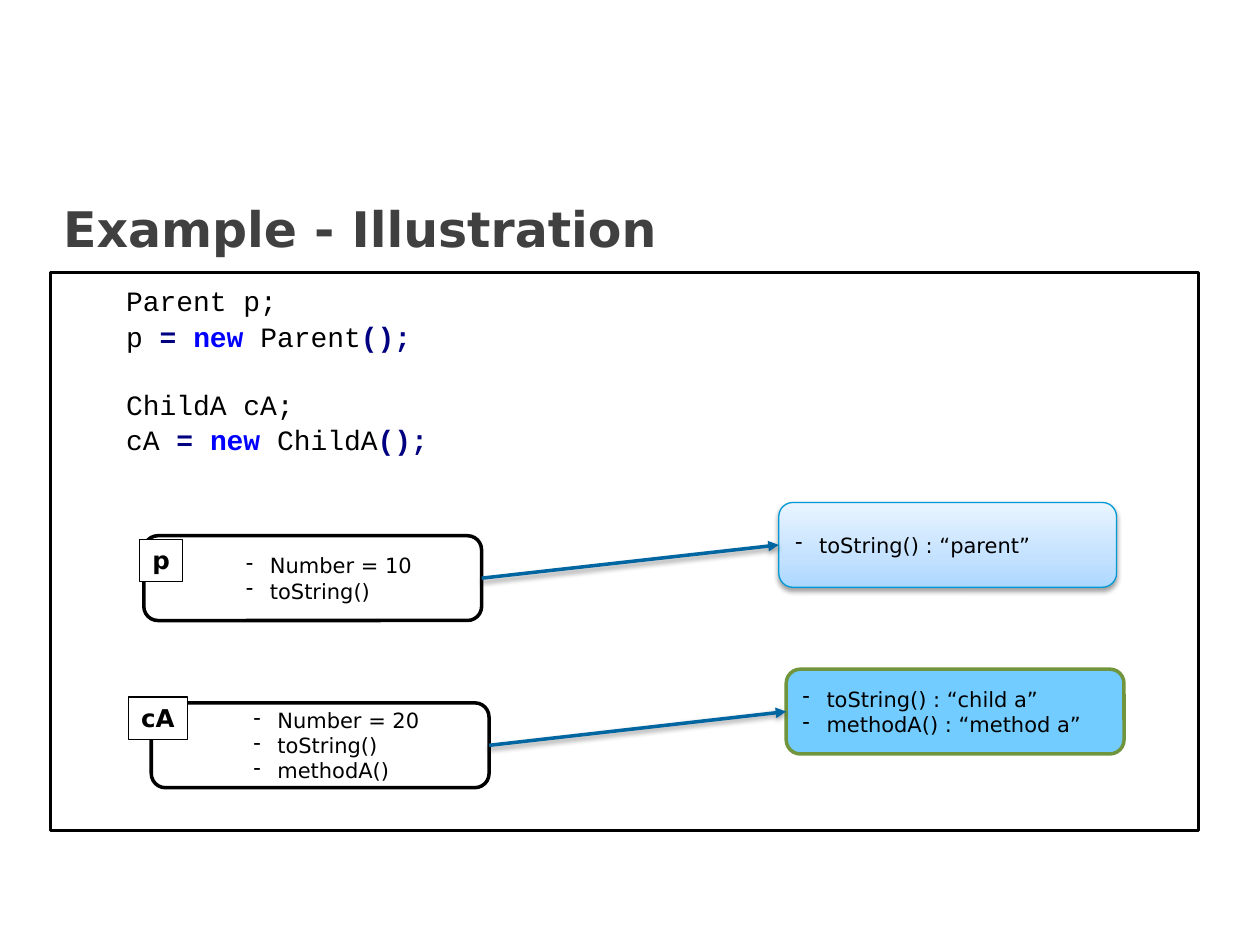
from copy import deepcopy
from lxml.etree import SubElement
from pptx import Presentation
from pptx.dml.color import RGBColor
from pptx.enum.shapes import MSO_CONNECTOR, MSO_SHAPE
from pptx.enum.text import MSO_ANCHOR, MSO_AUTO_SIZE, PP_ALIGN
from pptx.oxml.ns import qn
from pptx.util import Cm, Pt

# Content
TITLE = "Example - Illustration"
CODE = [  # lines of (text, style); the gap before a line is in points
    (0, [("Parent p;", "plain")]),
    (1, [("p ", "plain"), ("= ", "sign"), ("new", "keyword"),
         (" Parent", "plain"), ("();", "sign")]),
    (20, [("ChildA cA;", "plain")]),
    (1, [("cA ", "plain"), ("= ", "sign"), ("new ", "keyword"),
         ("ChildA", "plain"), ("();", "sign")]),
]
ROWS = [  # positions in cm: object box, its name tag (left, top, width), class box
    dict(name="p", tag=(2.82, 10.87, 0.86), object_at=(2.9, 10.8),
         fields=["Number = 10", "toString()"],
         class_at=(15.7, 10.13), methods=["toString() : “parent”"], glossy=True),
    dict(name="cA", tag=(2.59, 14.05, 1.19), object_at=(3.05, 14.17),
         fields=["Number = 20", "toString()", "methodA()"],
         class_at=(15.85, 13.49),
         methods=["toString() : “child a”", "methodA() : “method a”"], glossy=False),
]

# Style
COLORS = dict(black="000000", white="FFFFFF", title="404040", plain="000000",
              sign="000080", keyword="0000FF", arrow="0066A1", glossy_line="009BD6",
              child_fill="73CCFF", child_line="71953D")
GLOSS = [(0, "ACD7FF"), (0.35, "C4E2FF"), (1, "E9F4FF")]
SANS, MONO = "DejaVu Sans", "Courier New"
BOX_W, BOX_H, TAG_H = 6.81, 1.71, 0.86
HANG = 0.48


def rgb(name):
    return RGBColor.from_string(COLORS[name])


def style(font, size, color, face=SANS, bold=False):
    font.name, font.size, font.bold = face, Pt(size), bold
    font.color.rgb = rgb(color)


def place(sp, x, y, w, h):
    sp.left, sp.top, sp.width, sp.height = Cm(x), Cm(y), Cm(w), Cm(h)


def outline(sp, color, width):
    sp.line.color.rgb = rgb(color)
    sp.line.width = Pt(width)


def add_shadow(sp):
    """Soft shadow straight below the shape."""
    spPr = sp._element.spPr
    effects = spPr.find(qn("a:effectLst"))
    if effects is None:
        effects = SubElement(spPr, qn("a:effectLst"))
    shadow = SubElement(effects, qn("a:outerShdw"), blurRad=str(Pt(3.1)),
                        dist=str(Pt(1.6)), dir="5400000", rotWithShape="0")
    color = SubElement(shadow, qn("a:srgbClr"), val=COLORS["black"])
    SubElement(color, qn("a:alpha"), val="38000")


def add_box(shapes, kind, x, y, w, h, fill, line, width):
    sp = shapes.add_shape(kind, Cm(x), Cm(y), Cm(w), Cm(h))
    sp.shadow.inherit = False
    sp.fill.solid()
    sp.fill.fore_color.rgb = rgb(fill)
    outline(sp, line, width)
    return sp


def add_list(sp, items, margin):
    tf = sp.text_frame
    tf.word_wrap = True
    tf.vertical_anchor = MSO_ANCHOR.MIDDLE
    tf.text = "\n".join(items)
    for p in tf.paragraphs:
        p.alignment = PP_ALIGN.LEFT
        pPr = p._p.get_or_add_pPr()
        pPr.set("marL", str(Cm(margin)))
        pPr.set("indent", str(Cm(-HANG)))
        SubElement(pPr, qn("a:buChar"), char="-")
        for r in p.runs:
            style(r.font, 12, "black")


def make_glossy(sp):
    sp.fill.gradient()
    sp.fill.gradient_angle = 90
    first = sp._element.spPr.find(".//" + qn("a:gs"))
    first.addnext(deepcopy(first))
    for stop, (position, color) in zip(sp.fill.gradient_stops, GLOSS):
        stop.position = position
        stop.color.rgb = RGBColor.from_string(color)
    outline(sp, "glossy_line", 0.75)
    add_shadow(sp)


def add_row(slide, row):
    # Class box
    target = add_box(slide.shapes, MSO_SHAPE.ROUNDED_RECTANGLE, *row["class_at"],
                     BOX_W, BOX_H, "child_fill", "child_line", 2)
    if row["glossy"]:
        make_glossy(target)
    add_list(target, row["methods"], HANG)

    # Object box with its name tag
    group = slide.shapes.add_group_shape()
    obj = add_box(group.shapes, MSO_SHAPE.ROUNDED_RECTANGLE, *row["object_at"],
                  BOX_W, BOX_H, "white", "black", 2)
    add_list(obj, row["fields"], 2.21)
    x, y, w = row["tag"]
    tag = add_box(group.shapes, MSO_SHAPE.RECTANGLE, x, y, w, TAG_H,
                  "white", "black", 0.75)
    tf = tag.text_frame
    tf.word_wrap = False
    tf.auto_size = MSO_AUTO_SIZE.SHAPE_TO_FIT_TEXT
    tf.vertical_anchor = MSO_ANCHOR.TOP
    tf.text = row["name"]
    p = tf.paragraphs[0]
    p.alignment = PP_ALIGN.CENTER
    style(p.runs[0].font, 14, "black", bold=True)

    # Arrow from object to class
    arrow = slide.shapes.add_connector(MSO_CONNECTOR.STRAIGHT, 0, 0, 0, 0)
    arrow.begin_connect(obj, 3)
    arrow.end_connect(target, 1)
    outline(arrow, "arrow", 2)
    SubElement(arrow.line._get_or_add_ln(), qn("a:tailEnd"), type="triangle")
    add_shadow(arrow)


def main():
    prs = Presentation()
    prs.slide_width, prs.slide_height = Cm(25.4), Cm(19.05)
    slide = prs.slides.add_slide(prs.slide_layouts[1])
    title, body = slide.placeholders

    # Title
    place(title, 1.02, 3.71, 23.14, 1.78)
    tf = title.text_frame
    tf.text = TITLE
    tf.vertical_anchor = MSO_ANCHOR.MIDDLE
    p = tf.paragraphs[0]
    p.alignment = PP_ALIGN.LEFT
    style(p.runs[0].font, 28, "title", bold=True)

    # Code in a frame
    place(body, 1.02, 5.49, 23.14, 11.25)
    outline(body, "black", 2)
    tf = body.text_frame
    tf.margin_top = Cm(0.23)
    for i, (gap, parts) in enumerate(CODE):
        p = tf.add_paragraph() if i else tf.paragraphs[0]
        p.space_before = Pt(gap)
        pPr = p._p.get_or_add_pPr()
        pPr.set("marL", str(Cm(1.27)))
        pPr.set("indent", "0")
        SubElement(pPr, qn("a:buNone"))
        for text, kind in parts:
            r = p.add_run()
            r.text = text
            style(r.font, 16, kind, MONO, kind != "plain")

    # Objects and their classes
    for row in ROWS:
        add_row(slide, row)
    prs.save("out.pptx")


if __name__ == "__main__":
    main()
